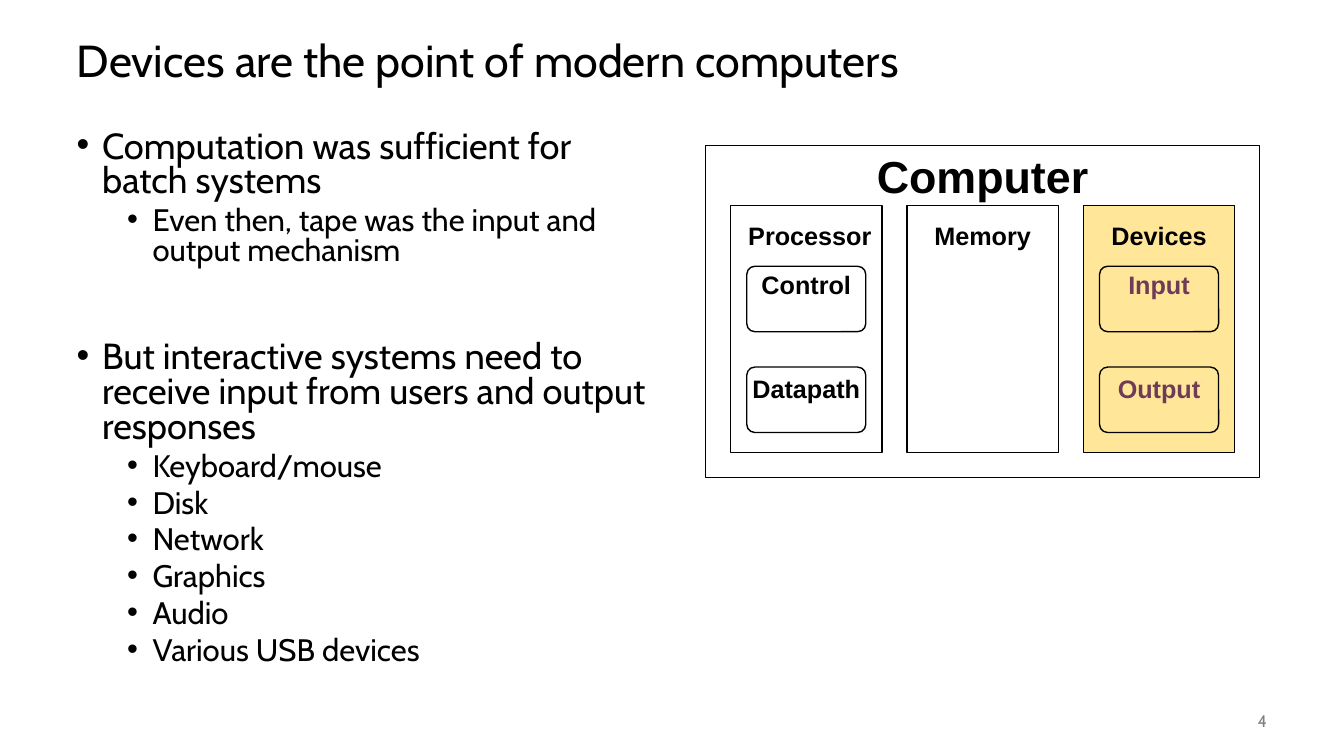
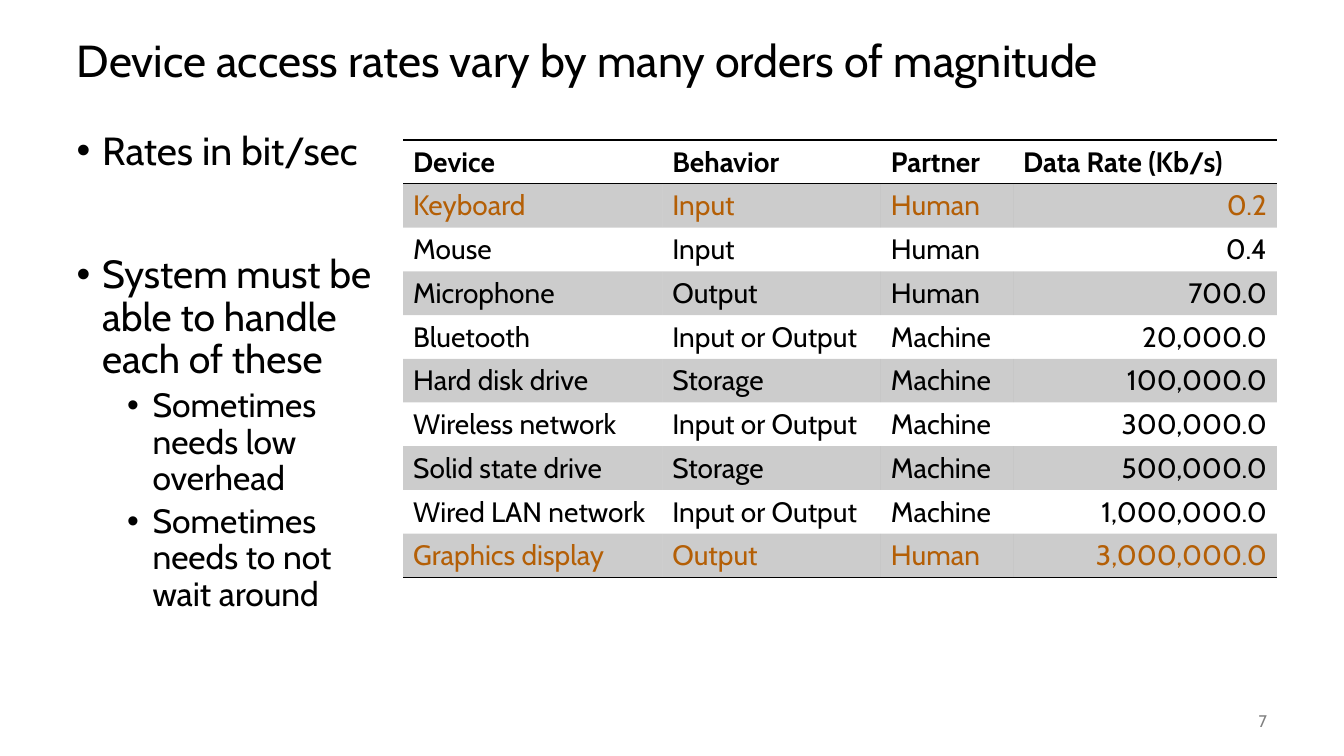
"""Build two slides on computer devices and their access rates."""
import dataclasses
import typing

import lxml.etree
import pptx
import pptx.dml.color
import pptx.enum.shapes
import pptx.enum.text
import pptx.oxml.ns
import pptx.util

Cm = pptx.util.Cm
Pt = pptx.util.Pt
qn = pptx.oxml.ns.qn
Align = pptx.enum.text.PP_ALIGN
Anchor = pptx.enum.text.MSO_ANCHOR
Preset = pptx.enum.shapes.MSO_SHAPE

COLORS = {
    "text": "000000",
    "page_number": "808080",
    "devices": "FFE699",
    "white": "FFFFFF",
    "input_output": "703B56",
    "highlight": "B45F06",
}
BODY_FONT = "Cabin"
DIAGRAM_FONT = "Arial"
PLAIN_TABLE_STYLE = "{2D5ABB26-0587-4C30-8999-92F81FD0307C}"
MARGIN_LEFT = 1.68
BULLET_HANG = 0.64
LEVEL_INDENTS = (0.64, 1.91)


@dataclasses.dataclass(frozen=True)
class Bullet:
    text: str
    level: int = 0
    space_before: typing.Optional[float] = None


@dataclasses.dataclass(frozen=True)
class BulletStyle:
    sizes: tuple[float, float]
    line_spacing: float
    spaces_before: tuple[float, float] = (14, 5)


@dataclasses.dataclass(frozen=True)
class Box:
    text: str
    left: float
    top: float
    width: float
    height: float
    text_top: float
    text_left: float = 0
    size: float = 18
    color: str = "text"
    fill: typing.Optional[str] = None
    rounded: bool = False


@dataclasses.dataclass(frozen=True)
class Unit:
    text: str
    text_top: float


@dataclasses.dataclass(frozen=True)
class Component:
    text: str
    units: tuple[Unit, ...] = ()
    text_left: float = 0
    fill: typing.Optional[str] = None
    unit_fill: typing.Optional[str] = None
    unit_color: str = "text"


class Rate(typing.NamedTuple):
    device: str
    behavior: str
    partner: str
    rate: str


HEADER = Rate("Device", "Behavior", "Partner", "Data Rate (Kb/s)")
RATES = (
    Rate("Keyboard", "Input", "Human", "0.2"),
    Rate("Mouse", "Input", "Human", "0.4"),
    Rate("Microphone", "Output", "Human", "700.0"),
    Rate("Bluetooth", "Input or Output", "Machine", "20,000.0"),
    Rate("Hard disk drive", "Storage", "Machine", "100,000.0"),
    Rate("Wireless network", "Input or Output", "Machine", "300,000.0"),
    Rate("Solid state drive", "Storage", "Machine", "500,000.0"),
    Rate("Wired LAN network", "Input or Output", "Machine", "1,000,000.0"),
    Rate("Graphics display", "Output", "Human", "3,000,000.0"),
)
HIGHLIGHTED = ("Keyboard", "Graphics display")
COLUMN_WIDTHS = (6.53, 5.51, 3.33, 6.65)

COMPONENTS = (
    Component("Processor", (Unit("Control", 0.14), Unit("Datapath", 0.22)),
              text_left=0.18, unit_fill="white"),
    Component("Memory"),
    Component("Devices", (Unit("Input", 0.14), Unit("Output", 0.22)),
              fill="devices", unit_color="input_output"),
)

DEVICE_BULLETS = (
    Bullet("Computation was sufficient for batch systems", space_before=0),
    Bullet("Even then, tape was the input and output mechanism", 1),
    Bullet("But interactive systems need to receive input from users and output responses",
           space_before=53),
    Bullet("Keyboard/mouse", 1),
    Bullet("Disk", 1),
    Bullet("Network", 1),
    Bullet("Graphics", 1),
    Bullet("Audio", 1),
    Bullet("Various USB devices", 1),
)
RATE_BULLETS = (
    Bullet("Rates in bit/sec", space_before=0),
    Bullet("System must be able to handle each of these", space_before=58),
    Bullet("Sometimes needs low overhead", 1),
    Bullet("Sometimes needs to not wait around", 1),
)


def rgb(name: str) -> pptx.dml.color.RGBColor:
    return pptx.dml.color.RGBColor.from_string(COLORS[name])


def write_text(paragraph, text: str, *, size: float, color: str = "text",
               font: str = BODY_FONT, bold: bool = False, align=Align.LEFT,
               line_spacing: float = 1.0, space_before: float = 0) -> None:
    paragraph.alignment = align
    paragraph.line_spacing = line_spacing
    paragraph.space_before = Pt(space_before)
    run = paragraph.add_run()
    run.text = text
    run.font.size = Pt(size)
    run.font.name = font
    run.font.bold = bold
    run.font.color.rgb = rgb(color)


def place(shape, left: float, top: float, width: float, height: float) -> None:
    shape.left, shape.top = Cm(left), Cm(top)
    shape.width, shape.height = Cm(width), Cm(height)


def add_bullet_mark(paragraph, level: int) -> None:
    properties = paragraph._p.get_or_add_pPr()
    properties.set("marL", str(Cm(LEVEL_INDENTS[level])))
    properties.set("indent", str(-Cm(BULLET_HANG)))
    lxml.etree.SubElement(properties, qn("a:buFont")).set("typeface", "Arial")
    lxml.etree.SubElement(properties, qn("a:buChar")).set("char", "•")


def fill_body(body, bullets: tuple[Bullet, ...], style: BulletStyle) -> None:
    frame = body.text_frame
    frame.auto_size = pptx.enum.text.MSO_AUTO_SIZE.NONE
    for index, bullet in enumerate(bullets):
        paragraph = frame.add_paragraph() if index else frame.paragraphs[0]
        paragraph.level = bullet.level
        add_bullet_mark(paragraph, bullet.level)
        space = bullet.space_before
        if space is None:
            space = style.spaces_before[bullet.level]
        write_text(paragraph, bullet.text, size=style.sizes[bullet.level],
                   line_spacing=style.line_spacing, space_before=space)


def add_content_slide(presentation, title: str, number: int, body_width: float,
                      bullets: tuple[Bullet, ...], style: BulletStyle):
    slide = presentation.slides.add_slide(presentation.slide_layouts[1])
    heading, body = slide.shapes.title, slide.placeholders[1]
    place(heading, MARGIN_LEFT, 0.64, 30.48, 1.9)
    heading.text_frame.vertical_anchor = Anchor.MIDDLE
    heading.text_frame.auto_size = pptx.enum.text.MSO_AUTO_SIZE.NONE
    write_text(heading.text_frame.paragraphs[0], title, size=32, line_spacing=0.9)
    place(body, MARGIN_LEFT, 3.18, body_width, 13.97)
    fill_body(body, bullets, style)
    footer = slide.shapes.add_textbox(Cm(29.64), Cm(17.65), Cm(2.54), Cm(1.02))
    footer.text_frame.word_wrap = True
    footer.text_frame.vertical_anchor = Anchor.MIDDLE
    write_text(footer.text_frame.paragraphs[0], str(number), size=12,
               color="page_number", align=Align.RIGHT)
    return slide


def draw_box(slide, box: Box) -> None:
    preset = Preset.ROUNDED_RECTANGLE if box.rounded else Preset.RECTANGLE
    shape = slide.shapes.add_shape(preset, Cm(box.left), Cm(box.top),
                                   Cm(box.width), Cm(box.height))
    if box.rounded:
        shape.adjustments[0] = 0.125
    shape.shadow.inherit = False
    if box.fill:
        shape.fill.solid()
        shape.fill.fore_color.rgb = rgb(box.fill)
    else:
        shape.fill.background()
    shape.line.color.rgb = rgb("text")
    shape.line.width = Pt(1)
    frame = shape.text_frame
    frame.word_wrap = True
    frame.vertical_anchor = Anchor.TOP
    frame.margin_left, frame.margin_top = Cm(box.text_left), Cm(box.text_top)
    frame.margin_right = frame.margin_bottom = 0
    write_text(frame.paragraphs[0], box.text, size=box.size, color=box.color,
               font=DIAGRAM_FONT, bold=True, align=Align.CENTER, line_spacing=0.85)


def draw_computer(slide) -> None:
    computer = Box("Computer", 17.78, 3.66, 13.97, 8.38, text_top=0.3, size=32)
    draw_box(slide, computer)
    width, unit_width, unit_pitch = 3.81, 3, 2.54
    gap = (computer.width - len(COMPONENTS) * width) / (len(COMPONENTS) + 1)
    for column, component in enumerate(COMPONENTS):
        left = computer.left + gap + column * (width + gap)
        draw_box(slide, Box(component.text, left, 5.18, width, 6.22, text_top=0.48,
                            text_left=component.text_left, fill=component.fill))
        for row, unit in enumerate(component.units):
            draw_box(slide, Box(unit.text, left + (width - unit_width) / 2,
                                6.71 + row * unit_pitch, unit_width, 1.65,
                                text_top=unit.text_top, color=component.unit_color,
                                fill=component.unit_fill, rounded=True))


def add_border(cell, side: str) -> None:
    line = lxml.etree.SubElement(cell._tc.get_or_add_tcPr(), qn(f"a:{side}"))
    line.set("w", str(Pt(1)))
    fill = lxml.etree.SubElement(line, qn("a:solidFill"))
    lxml.etree.SubElement(fill, qn("a:srgbClr")).set("val", COLORS["text"])


def shade(cell) -> None:
    cell.fill.solid()
    cell.fill.fore_color.rgb = rgb("text")
    color = cell._tc.tcPr.find(qn("a:solidFill")).find(qn("a:srgbClr"))
    lxml.etree.SubElement(color, qn("a:alpha")).set("val", "20000")


def draw_rates(slide) -> None:
    rows = (HEADER,) + RATES
    row_height = 1.1
    table = slide.shapes.add_table(
        len(rows), len(HEADER), Cm(10.16), Cm(3.53),
        Cm(sum(COLUMN_WIDTHS)), Cm(row_height * len(rows))).table
    table.first_row = table.horz_banding = False
    table._tbl.tblPr.find(qn("a:tableStyleId")).text = PLAIN_TABLE_STYLE
    for column, width in zip(table.columns, COLUMN_WIDTHS):
        column.width = Cm(width)
    for row_index, rate in enumerate(rows):
        table.rows[row_index].height = Cm(row_height)
        is_header = row_index == 0
        color = "highlight" if rate.device in HIGHLIGHTED else "text"
        for column_index, text in enumerate(rate):
            cell = table.cell(row_index, column_index)
            is_number = text == rate.rate and not is_header
            write_text(cell.text_frame.paragraphs[0], text, size=20, color=color,
                       bold=is_header, align=Align.RIGHT if is_number else Align.LEFT)
            if is_header:
                add_border(cell, "lnT")
            if is_header or row_index == len(rows) - 1:
                add_border(cell, "lnB")
            if row_index % 2:
                shade(cell)
            else:
                cell.fill.background()


def main() -> None:
    presentation = pptx.Presentation()
    presentation.slide_width, presentation.slide_height = Cm(33.87), Cm(19.05)
    draw_computer(add_content_slide(
        presentation, "Devices are the point of modern computers", 4, 15.24,
        DEVICE_BULLETS, BulletStyle((25.9, 22.2), 0.8)))
    draw_rates(add_content_slide(
        presentation, "Device access rates vary by many orders of magnitude", 7, 8.48,
        RATE_BULLETS, BulletStyle((28, 24), 0.9)))
    presentation.save("out.pptx")


if __name__ == "__main__":
    main()
